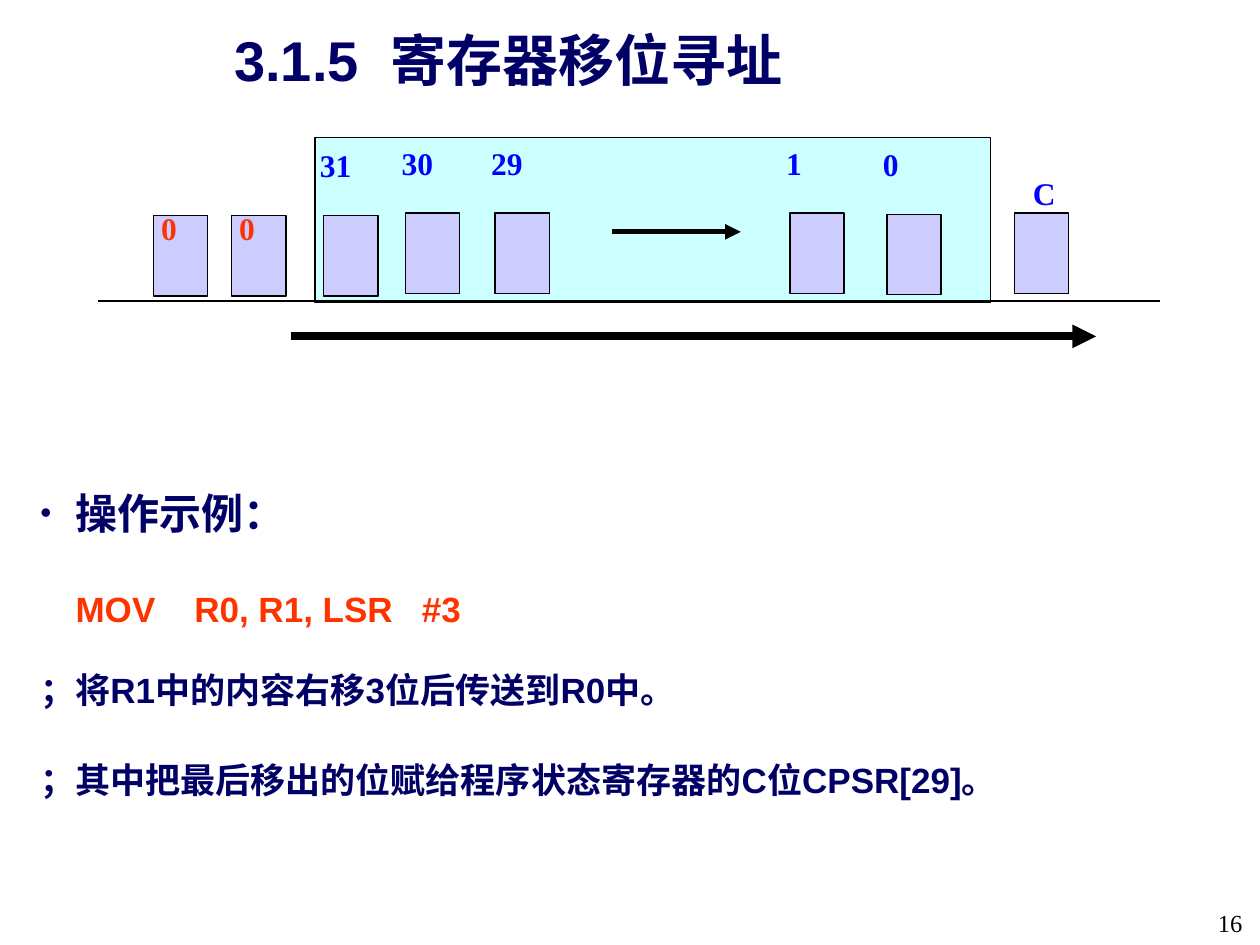
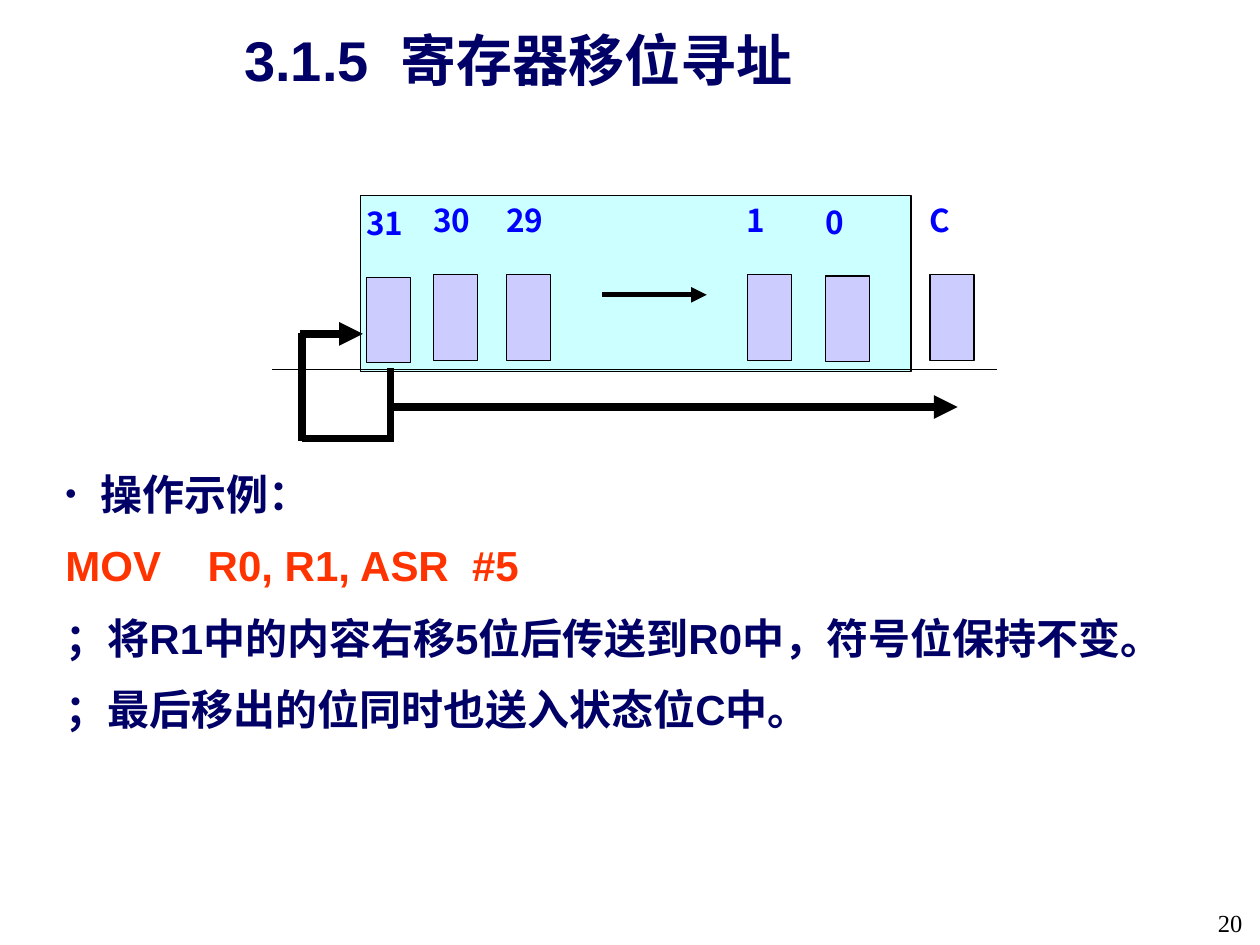
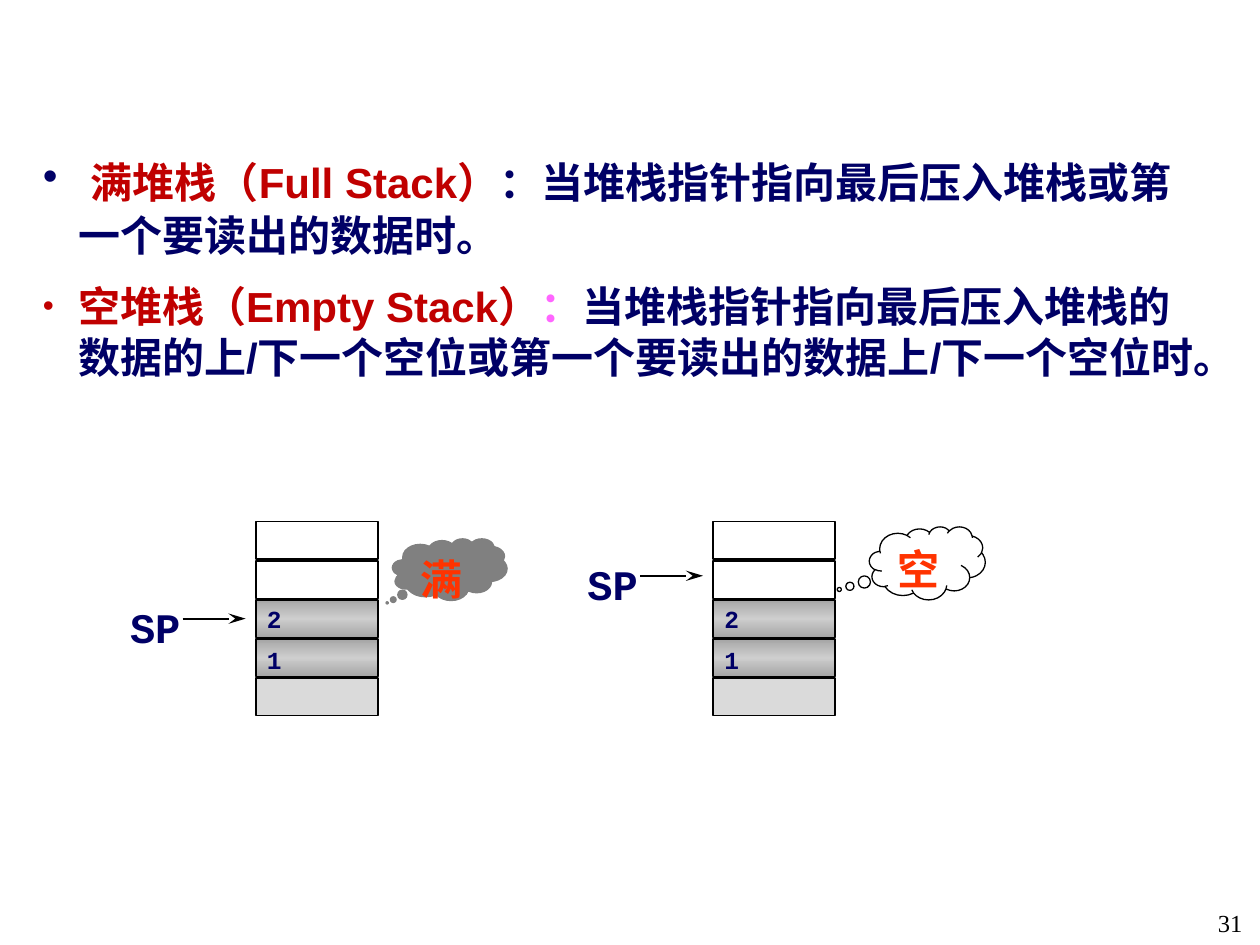
from lxml import etree
from pptx import Presentation
from pptx.dml.color import RGBColor
from pptx.enum import shapes, text
from pptx.oxml import ns
from pptx.util import Inches, Pt

NAVY = RGBColor(0x00, 0x00, 0x66)
ORANGE = RGBColor(0xFF, 0x33, 0x00)
BLUE = RGBColor(0x00, 0x00, 0xFF)
CRIMSON = RGBColor(0xC0, 0x00, 0x00)
PINK = RGBColor(0xFF, 0x66, 0xFF)
AQUA = RGBColor(0xCC, 0xFF, 0xFF)
LILAC = RGBColor(0xCC, 0xCC, 0xFF)
GREY = RGBColor(0x80, 0x80, 0x80)
PALE = RGBColor(0xDA, 0xDA, 0xDA)
WHITE = RGBColor(0xFF, 0xFF, 0xFF)
BLACK = RGBColor(0x00, 0x00, 0x00)
SHEEN = ((0, "A5A5A5"), (50000, "CECECE"), (100000, "A5A5A5"))

CJK = "Noto Sans CJK SC"
HEADING = dict(name="Arial", size=Pt(32), bold=True)
BODY = dict(name="Arial", size=Pt(24), bold=True)
CODE = dict(name="Arial", size=Pt(20), bold=True)
BIT = dict(name="Times New Roman", size=Pt(18), bold=True)
BIT_SANS = dict(name=CJK, size=Pt(18), bold=True)
POINTER = dict(name="Courier New", size=Pt(24), bold=True)
DATUM = dict(name="Courier New", size=Pt(14), bold=True)
THOUGHT = dict(name="Times New Roman", size=Pt(24), bold=True)
FOLIO = dict(name="Times New Roman", size=Pt(14), bold=False)
TITLE = "3.1.5  寄存器移位寻址"


def apply(target, formats):
    """Set every attribute in formats on target."""
    for name, value in formats.items():
        setattr(target, name, value)


def add_xml(parent, tag, **attributes):
    """Append a DrawingML element to parent."""
    return etree.SubElement(parent, ns.qn(tag), attributes)


def write(paragraph, runs, formats):
    """Add (words, colour[, size]) runs in one font."""
    for words, colour, *size in runs:
        run = paragraph.add_run()
        run.text = words
        apply(run.font, formats)
        if size:
            run.font.size = size[0]
        run.font.color.rgb = colour
        add_xml(run._r.get_or_add_rPr(), "a:ea", typeface=CJK)


def add_label(slide, box, words, colour, formats, **layout):
    """Place one line of text in a box."""
    frame = slide.shapes.add_textbox(*map(Inches, box)).text_frame
    frame.word_wrap = True
    apply(frame.paragraphs[0], layout)
    write(frame.paragraphs[0], [(words, colour)], formats)


def add_block(slide, kind, box, fill=None, line=BLACK, width=0.75):
    """Place a flat preset shape in a box."""
    block = slide.shapes.add_shape(kind, *map(Inches, box))
    block.shadow.inherit = False
    if fill is None:
        block.fill.background()
    elif fill is SHEEN:
        block.fill.gradient()
        stops = block._element.spPr.find(".//" + ns.qn("a:gsLst"))
        stops.clear()
        for position, colour in SHEEN:
            add_xml(add_xml(stops, "a:gs", pos=str(position)), "a:srgbClr", val=colour)
        block.fill.gradient_angle = 90
    else:
        block.fill.solid()
        block.fill.fore_color.rgb = fill
    if line is None:
        block.line.fill.background()
    else:
        block.line.color.rgb = line
        block.line.width = Pt(width)
    return block


def add_rule(slide, left, top, ends, width, arrow=None, length="med"):
    """Draw a black line between ends given relative to left and top."""
    x1, y1, x2, y2 = ends
    rule = slide.shapes.add_connector(
        shapes.MSO_CONNECTOR.STRAIGHT,
        *map(Inches, (left + x1, top + y1, left + x2, top + y2)))
    rule.line.color.rgb = BLACK
    rule.line.width = Pt(width)
    if arrow:
        add_xml(rule.line._get_or_add_ln(), "a:tailEnd", type=arrow, w="med", len=length)
    add_xml(rule._element.spPr, "a:effectLst")


def add_title(slide, left):
    """Move and format the title placeholder."""
    title = slide.shapes.title
    apply(title, dict(left=Inches(left), top=Inches(0.21),
                      width=Inches(7.83), height=Inches(0.92)))
    frame = title.text_frame
    apply(frame, dict(vertical_anchor=text.MSO_ANCHOR.TOP, word_wrap=True,
                      auto_size=text.MSO_AUTO_SIZE.NONE))
    apply(frame.paragraphs[0], dict(alignment=text.PP_ALIGN.CENTER, line_spacing=0.9))
    write(frame.paragraphs[0], [(TITLE, NAVY)], HEADING)


def add_body(slide, box, items, spacing=1.0):
    """Write (runs, font, bulleted, indent, before) paragraphs with a hanging indent."""
    frame = slide.shapes.add_textbox(*map(Inches, box)).text_frame
    apply(frame, dict(word_wrap=True, margin_left=Inches(0.09), margin_right=Inches(0.09)))
    for index, (runs, formats, bulleted, indent, before) in enumerate(items):
        paragraph = frame.add_paragraph() if index else frame.paragraphs[0]
        properties = paragraph._p.get_or_add_pPr()
        for name, value in (("marL", 0.28), ("indent", indent)):
            properties.set(name, str(Inches(value)))
        if bulleted:
            add_xml(properties, "a:buSzPct", val="75000")
            add_xml(properties, "a:buFont", typeface="Arial")
            add_xml(properties, "a:buChar", char="•")
        else:
            add_xml(properties, "a:buNone")
        apply(paragraph, dict(line_spacing=spacing, space_before=Pt(before)))
        write(paragraph, runs, formats)


def add_register(slide, box, cell_size, bits, formats):
    """Draw the register panel with its (label, colour, x, y, label x, label y) bits."""
    left, top = box[:2]
    add_block(slide, shapes.MSO_SHAPE.RECTANGLE, box, AQUA)
    for digit, colour, x, y, label_x, label_y in bits:
        cell_left, cell_top = left + x, top + y
        add_block(slide, shapes.MSO_SHAPE.RECTANGLE, (cell_left, cell_top, *cell_size), LILAC)
        add_label(slide, (cell_left + label_x, cell_top + label_y, 0.7, 0.8),
                  digit, colour, formats)


def add_stack(slide, left, top, pointer_drop, cloud, thought, fill, line, tail):
    """Draw a five-row stack with its pointer and thought cloud."""
    for row, shade in enumerate((None, None, SHEEN, SHEEN, PALE)):
        add_block(slide, shapes.MSO_SHAPE.RECTANGLE,
                  (left, top + 0.31 * row, 0.97, 0.3), shade, width=1)
    for datum, drop in (("2", 0.63), ("1", 0.96)):
        add_label(slide, (left - 0.01, top + drop, 1, 0.31), datum, NAVY, DATUM,
                  line_spacing=0.9)
    add_label(slide, (left - 1.25, top + pointer_drop, 0.75, 0.46), "SP", NAVY, POINTER,
              alignment=text.PP_ALIGN.RIGHT, line_spacing=0.9)
    arrow_y = pointer_drop + 0.14
    add_rule(slide, left, top, (-0.58, arrow_y, -0.08, arrow_y), 1, "stealth", "lg")
    x, y, width, height = cloud
    bubble = add_block(slide, shapes.MSO_SHAPE.CLOUD_CALLOUT,
                       (left + x, top + y, width, height), fill, line)
    for index, value in enumerate(tail):
        bubble.adjustments[index] = value
    apply(bubble.text_frame, dict(vertical_anchor=text.MSO_ANCHOR.TOP,
                                  margin_right=Inches(0.17)))
    bubble.text_frame.paragraphs[0].alignment = text.PP_ALIGN.CENTER
    write(bubble.text_frame.paragraphs[0], [(thought, ORANGE)], THOUGHT)


def new_slide(deck, layout, number):
    """Add a slide with its page number."""
    slide = deck.slides.add_slide(deck.slide_layouts[layout])
    add_label(slide, (9.2, 7.16, 0.76, 0.34), number, BLACK, FOLIO,
              alignment=text.PP_ALIGN.RIGHT)
    return slide


def logical_shift(deck):
    """Build the logical right shift slide."""
    slide = new_slide(deck, 5, "16")
    add_title(slide, 0.12)
    left, top = 2.5, 1.09
    places = (("31", 0.07, 0.62), ("30", 0.72, 0.6), ("29", 1.43, 0.6),
              ("1", 3.77, 0.6), ("0", 4.54, 0.61))
    bits = [(digit, BLUE, x, y, -0.13, -0.6) for digit, x, y in places]
    bits.append(("C", BLUE, 5.55, 0.6, 0.05, -0.36))
    bits += [("0", ORANGE, x, 0.62, -0.04, -0.1) for x in (-0.66, -1.28)]
    add_register(slide, (left, top, 5.36, 1.31), (0.43, 0.64), bits, BIT)
    add_rule(slide, left, top, (-1.72, 1.3, 6.71, 1.3), 0.75)
    add_rule(slide, left, top, (2.36, 0.75, 3.38, 0.75), 3, "triangle")
    add_rule(slide, left, top, (-0.19, 1.58, 6.2, 1.58), 4.5, "triangle")
    add_body(slide, (0.23, 3.68, 9, 3.25), [
        ([("操作示例：", NAVY)], BODY, True, -0.28, 0),
        ([("MOV    R0, R1, LSR   #3", ORANGE)], CODE, False, 0, 20),
        ([("；将R1中的内容右移3位后传送到R0中。", NAVY)], CODE, False, -0.28, 14),
        ([("；其中把最后移出的位赋给程序状态寄存器的C位CPSR[29]。", NAVY)],
         CODE, False, -0.28, 19),
    ], 1.35)


def arithmetic_shift(deck):
    """Build the arithmetic right shift slide."""
    slide = new_slide(deck, 5, "20")
    add_title(slide, 0.2)
    left, top = 2.86, 1.55
    places = (("31", 0.05, 0.65), ("30", 0.58, 0.63), ("29", 1.16, 0.63),
              ("1", 3.07, 0.63), ("0", 3.69, 0.64), ("C", 4.52, 0.63))
    bits = [(digit, BLUE, x, y, -0.1, -0.63) for digit, x, y in places]
    add_register(slide, (left, top, 4.37, 1.4), (0.35, 0.68), bits, BIT_SANS)
    add_rule(slide, left, top, (-0.7, 1.38, 5.05, 1.38), 0.75)
    add_rule(slide, left, top, (1.92, 0.79, 2.75, 0.79), 3, "triangle")
    add_rule(slide, left, top, (0.26, 1.68, 4.74, 1.68), 4.5, "triangle")
    for ends in ((0.24, 1.37, 0.24, 1.96), (0.24, 1.93, -0.46, 1.93),
                 (-0.46, 1.95, -0.46, 1.09)):
        add_rule(slide, left, top, ends, 4.5)
    add_rule(slide, left, top, (-0.48, 1.1, 0.02, 1.1), 4.5, "triangle")
    add_body(slide, (0.43, 3.67, 9, 3.2), [
        ([("操作示例：", NAVY)], BODY, True, -0.28, 0),
        ([("MOV    R0, R1, ASR  #5", ORANGE)], BODY, False, -0.28, 12),
        ([("；将R1中的内容右移5位后传送到R0中，符号位保持不变。", NAVY)],
         BODY, False, -0.28, 12.5),
        ([("；最后移出的位同时也送入状态位C中。", NAVY)], BODY, False, -0.28, 12),
    ])


def stack_kinds(deck):
    """Build the full and empty stack slide."""
    slide = new_slide(deck, 6, "31")
    add_body(slide, (0.25, 1.08, 9.33, 2.5), [
        ([(" ", NAVY, Pt(32)), ("满堆栈（Full Stack）", CRIMSON),
          ("：当堆栈指针指向最后压入堆栈或第一个要读出的数据时。", NAVY)],
         BODY, True, -0.28, 0),
        ([("空堆栈（Empty Stack）", CRIMSON), ("：", PINK),
          ("当堆栈指针指向最后压入堆栈的数据的上/下一个空位或第一个要读出的数据上/下一个空位时。", NAVY)],
         BODY, True, -0.28, 12),
    ])
    add_stack(slide, 2.03, 4.14, 0.63, (1.08, 0.13, 0.92, 0.5), "满",
              GREY, None, (-0.54, 0.53))
    add_stack(slide, 5.66, 4.14, 0.29, (1.24, 0.04, 0.92, 0.58), "空",
              WHITE, BLACK, (-0.76, 0.36))


def main():
    """Build and save the deck."""
    deck = Presentation()
    apply(deck, dict(slide_width=Inches(10), slide_height=Inches(7.5)))
    for build in (logical_shift, arithmetic_shift, stack_kinds):
        build(deck)
    deck.save("out.pptx")


if __name__ == "__main__":
    main()
